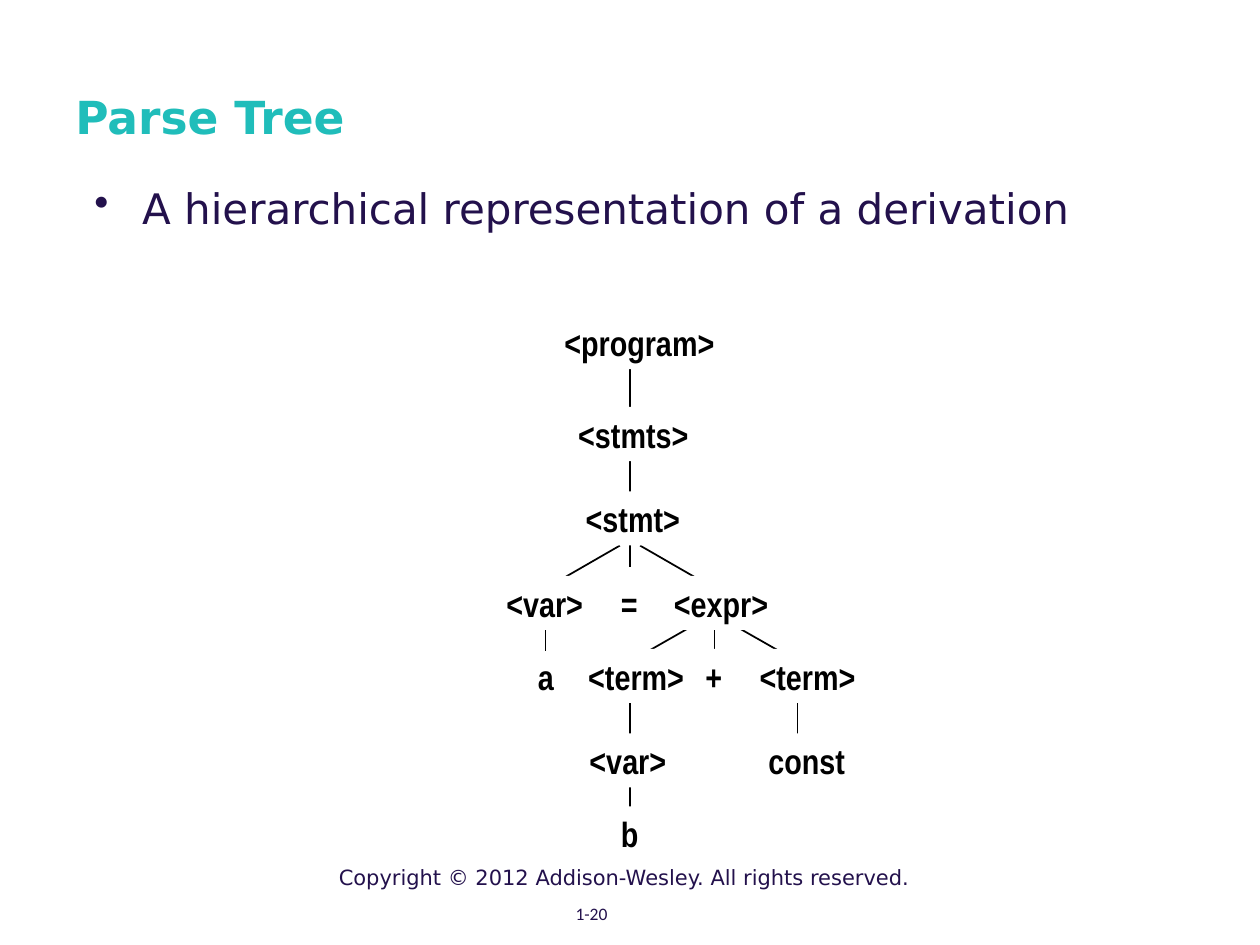
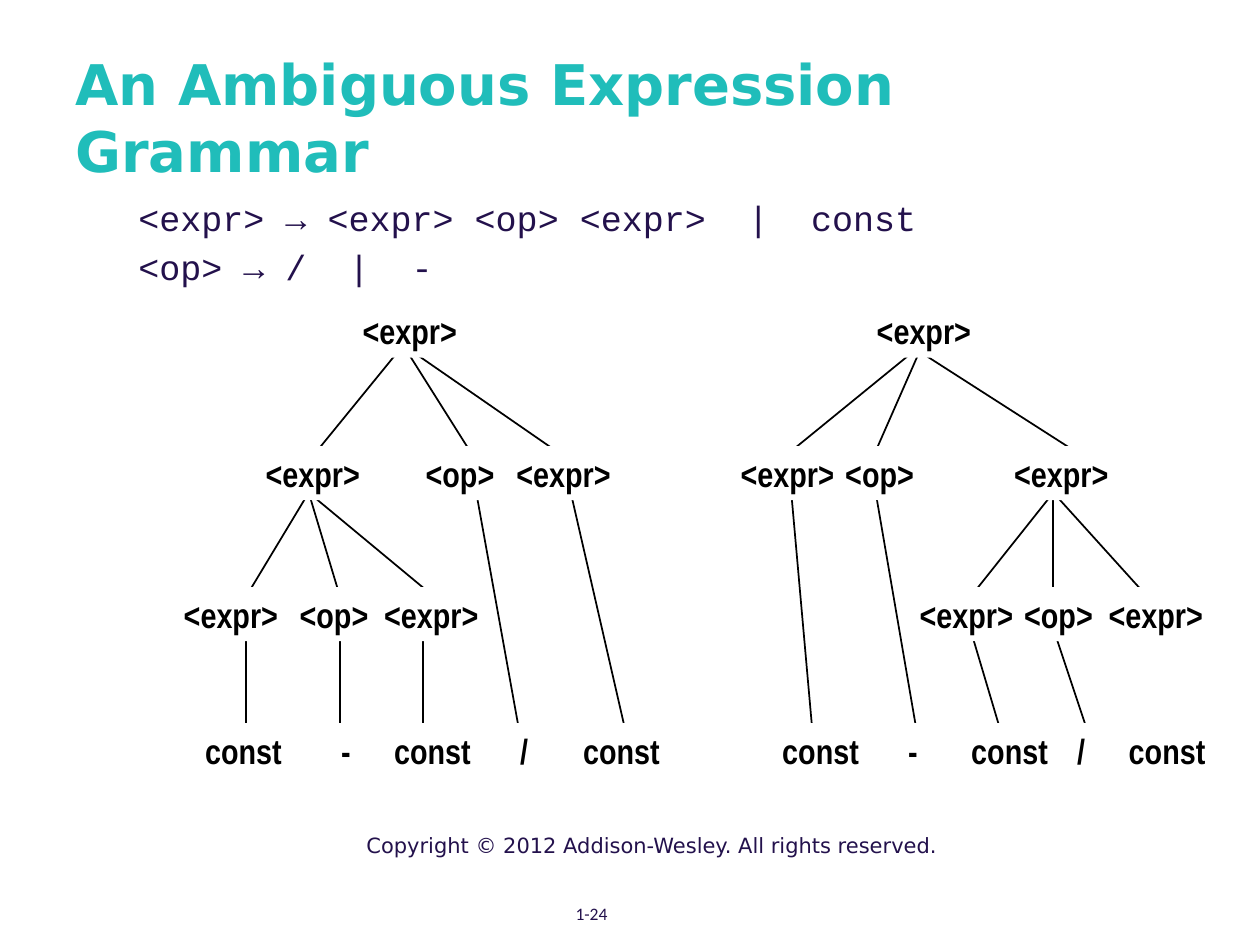
"""Build two slides on parse trees and an ambiguous expression grammar."""
from dataclasses import dataclass
from typing import Any

import pptx
import pptx.dml.color
import pptx.enum.shapes
import pptx.enum.text
import pptx.oxml
import pptx.oxml.ns
import pptx.util

Inches = pptx.util.Inches
Pt = pptx.util.Pt
ALIGN = pptx.enum.text.PP_ALIGN
ANCHOR = pptx.enum.text.MSO_ANCHOR
AUTO_SIZE = pptx.enum.text.MSO_AUTO_SIZE

TEAL, NAVY, BLACK, WHITE = "20BDBA", "23114C", "000000", "FFFFFF"
COPYRIGHT = "Copyright © 2012 Addison-Wesley. All rights reserved."
TOKEN_HEIGHT = 0.43
TOKEN_WIDTHS = {
    "<program>": 1.39, "<stmts>": 1.08, "<stmt>": 0.95, "<expr>": 0.95,
    "<term>": 0.96, "<var>": 0.81, "<op>": 0.75, "const": 0.81,
    "a": 0.33, "b": 0.34, "=": 0.34, "+": 0.34, "-": 0.28, "/": 0.26,
}


@dataclass(frozen=True)
class TextStyle:
    """Font and paragraph settings of a block of text."""

    face: str
    size: int
    color: str
    bold: bool = False
    align: Any = ALIGN.LEFT
    anchor: Any = ANCHOR.TOP


@dataclass(frozen=True)
class Box:
    """Place of a block of text in inches."""

    left: float
    top: float
    width: float
    height: float


@dataclass(frozen=True)
class Branch:
    """Lines that run from one parent down to its children."""

    x: float
    top: float
    bottom: float
    child_xs: tuple[float, ...]


@dataclass(frozen=True)
class Row:
    """Tokens on one level of a tree, each as its left edge and word."""

    top: float
    tokens: tuple[tuple[float, str], ...]


@dataclass(frozen=True)
class Lesson:
    """Everything that differs from slide to slide."""

    title: str
    title_size: int
    page: str
    copyright_box: Box
    body: tuple[str, ...]
    body_box: Box
    body_style: TextStyle
    bulleted: bool
    branches: tuple[Branch, ...]
    rows: tuple[Row, ...]
    unfilled: tuple[str, ...] = ()


TOKEN_STYLE = TextStyle("Arial Narrow", 20, BLACK, True)
COPYRIGHT_STYLE = TextStyle("DejaVu Sans", 12, NAVY)
PAGE_STYLE = TextStyle("Calibri", 10, NAVY, align=ALIGN.CENTER, anchor=ANCHOR.MIDDLE)
TITLE_BOX = Box(0.5, 0.3, 9, 1.25)
PAGE_BOX = Box(3.53, 7.05, 2.33, 0.4)

LESSONS = (
    Lesson(
        title="Parse Tree",
        title_size=26,
        page="1-20",
        copyright_box=Box(2.59, 6.81, 6.69, 0.4),
        body=("A hierarchical representation of a derivation",),
        body_box=Box(0.65, 1.4, 9, 4.63),
        body_style=TextStyle("DejaVu Sans", 24, NAVY),
        bulleted=True,
        branches=(
            Branch(5, 2.75, 4.5, (5,)),
            Branch(4.92, 4.33, 4.67, (4.33,)),
            Branch(5.08, 4.33, 4.67, (5.67,)),
            Branch(4.33, 4.67, 5.17, (4.33,)),
            Branch(5.58, 4.92, 5.25, (5,)),
            Branch(5.67, 4.67, 5.25, (5.67,)),
            Branch(5.75, 4.92, 5.25, (6.33,)),
            Branch(5, 5.33, 6.67, (5,)),
            Branch(6.33, 5.33, 6.08, (6.33,)),
        ),
        rows=(
            Row(2.5, ((4.38, "<program>"),)),
            Row(3.23, ((4.49, "<stmts>"),)),
            Row(3.9, ((4.55, "<stmt>"),)),
            Row(4.57, ((3.92, "<var>"), (4.83, "="), (5.25, "<expr>"))),
            Row(5.15, ((4.17, "a"), (4.57, "<term>"), (5.5, "+"), (5.93, "<term>"))),
            Row(5.82, ((4.58, "<var>"), (6, "const"))),
            Row(6.4, ((4.83, "b"),)),
        ),
        unfilled=("a", "="),
    ),
    Lesson(
        title="An Ambiguous Expression Grammar",
        title_size=32,
        page="1-24",
        copyright_box=Box(2.81, 6.56, 6.69, 0.33),
        body=("<expr> → <expr> <op> <expr>  |  const", "<op> → /  |  -"),
        body_box=Box(1, 1.51, 8.17, 5.17),
        body_style=TextStyle("Courier New", 20, NAVY),
        bulleted=False,
        branches=(
            Branch(3.2, 2.74, 3.66, (2.45, 3.78, 4.53)),
            Branch(2.45, 3.91, 4.74, (1.95, 2.7, 3.45)),
            Branch(1.95, 4.99, 5.83, (1.95,)),
            Branch(2.7, 4.99, 5.83, (2.7,)),
            Branch(3.36, 4.99, 5.83, (3.36,)),
            Branch(3.78, 3.91, 5.74, (4.11,)),
            Branch(4.53, 3.91, 5.74, (4.95,)),
            Branch(7.2, 2.83, 3.58, (6.28,)),
            Branch(7.28, 2.83, 3.58, (6.95,)),
            Branch(7.36, 2.83, 3.58, (8.53,)),
            Branch(8.36, 3.91, 4.74, (7.7, 8.36, 9.11)),
            Branch(6.28, 3.91, 5.83, (6.45,)),
            Branch(6.95, 3.91, 5.83, (7.28,)),
            Branch(7.7, 4.99, 5.83, (7.95,)),
            Branch(8.36, 4.99, 5.74, (8.61,)),
        ),
        rows=(
            Row(2.41, ((2.78, "<expr>"), (6.86, "<expr>"))),
            Row(3.54, ((2.01, "<expr>"), (3.28, "<op>"), (4, "<expr>"),
                       (5.78, "<expr>"), (6.61, "<op>"), (7.95, "<expr>"))),
            Row(4.66, ((1.36, "<expr>"), (2.28, "<op>"), (2.95, "<expr>"),
                       (7.2, "<expr>"), (8.03, "<op>"), (8.7, "<expr>"))),
            Row(5.74, ((1.53, "const"), (2.61, "-"), (3.03, "const"),
                       (4.03, "/"), (4.53, "const"), (6.11, "const"),
                       (7.11, "-"), (7.61, "const"), (8.45, "/"), (8.86, "const"))),
        ),
    ),
)


def rgb(value: str) -> pptx.dml.color.RGBColor:
    """Turn a hex string into a colour."""
    return pptx.dml.color.RGBColor.from_string(value)


def apply(target: Any, values: dict[str, Any]) -> None:
    """Set each named attribute of the target."""
    for name, value in values.items():
        setattr(target, name, value)


def inches(box: Box) -> tuple[int, ...]:
    """Convert a box to lengths for the shape methods."""
    return tuple(Inches(n) for n in (box.left, box.top, box.width, box.height))


def add_bullet(paragraph: Any) -> None:
    """Give a paragraph a round bullet with a hanging indent."""
    properties = paragraph._p.get_or_add_pPr()
    properties.set("marL", str(Inches(0.38)))
    properties.set("indent", str(-Inches(0.38)))
    bullet = pptx.oxml.parse_xml(
        f'<a:buChar {pptx.oxml.ns.nsdecls("a")} char="•"/>'
    )
    properties.append(bullet)


def write(shape: Any, lines: tuple[str, ...], style: TextStyle,
          wrap: bool = True, bulleted: bool = False) -> None:
    """Fill a shape with paragraphs in one style."""
    frame = shape.text_frame
    apply(frame, {
        "text": "\n".join(lines),
        "word_wrap": wrap,
        "vertical_anchor": style.anchor,
        "auto_size": AUTO_SIZE.NONE if wrap else AUTO_SIZE.SHAPE_TO_FIT_TEXT,
    })
    for index, paragraph in enumerate(frame.paragraphs):
        paragraph.alignment = style.align
        if index:
            paragraph.space_before = Pt(0.2 * style.size)
        if bulleted:
            add_bullet(paragraph)
        for run in paragraph.runs:
            apply(run.font, {
                "name": style.face, "size": Pt(style.size), "bold": style.bold,
            })
            run.font.color.rgb = rgb(style.color)


def add_text(slide: Any, box: Box, lines: tuple[str, ...], style: TextStyle,
             bulleted: bool = False) -> None:
    """Place a wrapping block of text."""
    write(slide.shapes.add_textbox(*inches(box)), lines, style, bulleted=bulleted)


def add_branch(slide: Any, branch: Branch) -> None:
    """Draw a line from a parent to each of its children."""
    for child_x in branch.child_xs:
        ends = (branch.x, branch.top, child_x, branch.bottom)
        edge = slide.shapes.add_connector(
            pptx.enum.shapes.MSO_CONNECTOR.STRAIGHT, *(Inches(n) for n in ends)
        )
        edge.line.color.rgb = rgb(BLACK)
        edge.line.width = Pt(1)
        edge._element.spPr.append(
            pptx.oxml.parse_xml(f'<a:effectLst {pptx.oxml.ns.nsdecls("a")}/>')
        )


def add_token(slide: Any, left: float, top: float, word: str, filled: bool) -> None:
    """Place one grammar symbol, masking the lines behind it if filled."""
    place = inches(Box(left, top, TOKEN_WIDTHS[word], TOKEN_HEIGHT))
    if filled:
        token = slide.shapes.add_shape(pptx.enum.shapes.MSO_SHAPE.RECTANGLE, *place)
        token.shadow.inherit = False
        token.fill.solid()
        token.fill.fore_color.rgb = rgb(WHITE)
        token.line.fill.background()
    else:
        token = slide.shapes.add_textbox(*place)
    write(token, (word,), TOKEN_STYLE, wrap=False)


def add_lesson(deck: Any, lesson: Lesson) -> None:
    """Add one slide with its title, footers, body and trees."""
    slide = deck.slides.add_slide(deck.slide_layouts[6])
    title_style = TextStyle("DejaVu Sans", lesson.title_size, TEAL, True,
                            anchor=ANCHOR.MIDDLE)
    add_text(slide, lesson.copyright_box, (COPYRIGHT,), COPYRIGHT_STYLE)
    add_text(slide, PAGE_BOX, (lesson.page,), PAGE_STYLE)
    add_text(slide, TITLE_BOX, (lesson.title,), title_style)
    add_text(slide, lesson.body_box, lesson.body, lesson.body_style, lesson.bulleted)
    for branch in lesson.branches:
        add_branch(slide, branch)
    for row in lesson.rows:
        for left, word in row.tokens:
            add_token(slide, left, row.top, word, word not in lesson.unfilled)


def main() -> None:
    """Build and save the deck."""
    deck = pptx.Presentation()
    apply(deck, {"slide_width": Inches(10), "slide_height": Inches(7.5)})
    for lesson in LESSONS:
        add_lesson(deck, lesson)
    deck.save("out.pptx")


if __name__ == "__main__":
    main()
